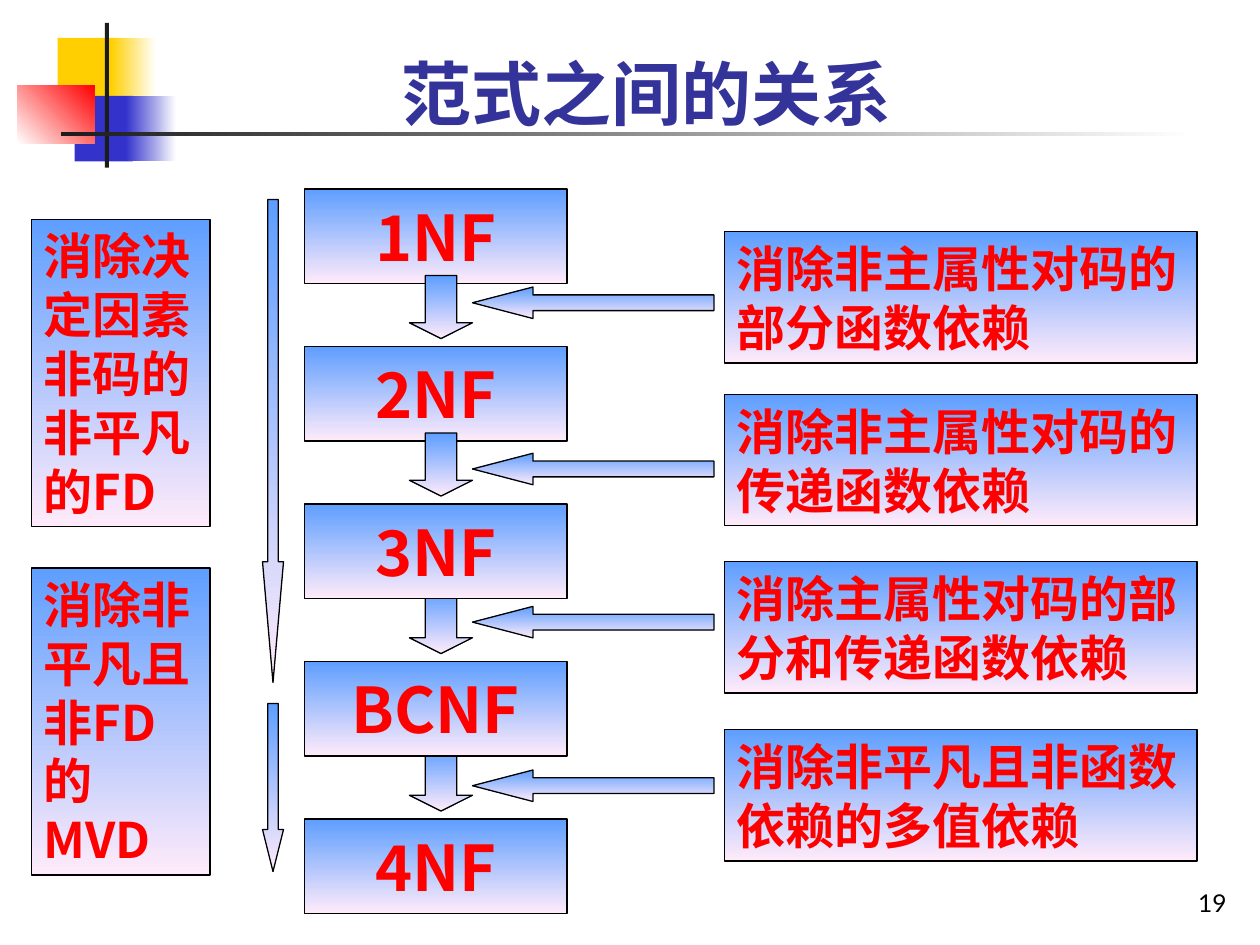
from lxml import etree
from pptx import Presentation
from pptx.dml.color import RGBColor
from pptx.enum.shapes import MSO_SHAPE as Shape
from pptx.enum.text import MSO_ANCHOR as Anchor, PP_ALIGN as Align
from pptx.oxml.ns import qn
from pptx.util import Pt

TITLE, PAGE = "范式之间的关系", "19"
LATIN, CJK = "Lato", "Noto Sans CJK SC"
RED = "FF0000"
PANEL = ("5E9EFF", "FFEBFA", 90)

forms = ["1NF", "2NF", "3NF", "BCNF", "4NF"]
# Step between two forms: text, top of its box, top of its arrow
steps = [
    ("消除非主属性对码的部分函数依赖", 132.5, 164),
    ("消除非主属性对码的传递函数依赖", 225.5, 259),
    ("消除主属性对码的部分和传递函数依赖", 321, 346.5),
    ("消除非平凡且非函数依赖的多值依赖", 417, 440),
]
# Wider step: text, top of its box, top and height of its arrow, head length
spans = [
    ("消除决定因素非码的非平凡的FD", 125.3, 114, 276, 5.75),
    ("消除非平凡且非FD的MVD", 324.5, 402, 96, 2),
]
# Corner ornament: left, top, width, height, fill (one colour, or from, to, angle)
ornament = [
    (33, 21.6, 34.8, 37.4, "FFCF01"),
    (63.4, 21.6, 25.6, 37.4, ("FFCF01", "FFFFFF", 0)),
    (42.6, 54.8, 33.2, 37.4, "3333CC"),
    (72, 54.8, 28.8, 37.4, ("3333CC", "FFFFFF", 0)),
    (9.8, 48.7, 44.3, 33.4, ("FFFFFF", RED, 315)),
    (59.9, 13, 2.4, 82.8, "1C1C1C"),
    (34.8, 75.5, 648, 2.3, ("1C1C1C", "FFFFFF", 0)),
]

FORM_TOP, FORM_HEIGHT, FORM_PITCH = 108, 54, 90


def color(value):
    return RGBColor.from_string(value)


def paint(fill, value):
    if isinstance(value, str):
        fill.solid()
        fill.fore_color.rgb = color(value)
        return
    start, end, angle = value
    fill.gradient()
    fill.gradient_angle = (360 - angle) % 360
    for stop, stop_color in zip(fill.gradient_stops, (start, end)):
        stop.color.rgb = color(stop_color)


def add_block(kind, left, top, width, height, fill, outlined=True):
    block = slide.shapes.add_shape(kind, Pt(left), Pt(top), Pt(width), Pt(height))
    block.shadow.inherit = False
    paint(block.fill, fill)
    if outlined:
        block.line.color.rgb = color("000000")
        block.line.width = Pt(0.75)
    else:
        block.line.fill.background()
    return block


def add_arrow(kind, left, top, width, height, head):
    arrow = add_block(kind, left, top, width, height, PANEL)
    arrow.adjustments[0] = 0.5
    arrow.adjustments[1] = head


def write(block, text, size, ink, align, font, bold=True, anchor=Anchor.MIDDLE, wrap=True):
    frame = block.text_frame
    frame.text = text
    frame.word_wrap = wrap
    frame.vertical_anchor = anchor
    paragraph = frame.paragraphs[0]
    paragraph.alignment = align
    run = paragraph.runs[0]
    run.font.size = Pt(size)
    run.font.bold = bold
    run.font.name = font
    run.font.color.rgb = color(ink)
    # East Asian typeface
    etree.SubElement(run.font._element, qn("a:ea"), typeface=CJK)


def add_panel(text, left, top, width, height):
    panel = add_block(Shape.RECTANGLE, left, top, width, height, PANEL)
    write(panel, text, 28, RED, Align.LEFT, CJK)


def add_form(index):
    top = FORM_TOP + index * FORM_PITCH
    form = add_block(Shape.RECTANGLE, 174, top, 150, FORM_HEIGHT, PANEL)
    write(form, forms[index], 36, RED, Align.CENTER, CJK, wrap=False)


prs = Presentation()
prs.slide_width, prs.slide_height = Pt(720), Pt(540)
slide = prs.slides.add_slide(prs.slide_layouts[6])

# Corner ornament and title rule
for *place, fill in ornament:
    add_block(Shape.RECTANGLE, *place, fill, outlined=False)

# Page number and title
page = slide.shapes.add_textbox(Pt(558), Pt(492), Pt(150), Pt(36))
write(page, PAGE, 14, "000000", Align.RIGHT, LATIN, bold=False, anchor=Anchor.BOTTOM)
title = slide.shapes.add_textbox(Pt(41.5), Pt(12.2), Pt(656), Pt(68))
write(title, TITLE, 40, "333399", Align.CENTER, LATIN, anchor=Anchor.BOTTOM)

# Chain of forms: the first two arrows overlap their box, the others start behind it
add_form(0)
add_form(1)
for index in range(len(steps)):
    top = FORM_TOP + index * FORM_PITCH + FORM_HEIGHT - 4.5
    add_arrow(Shape.DOWN_ARROW, 234, top, 36, 36, 0.25)
for index in range(2, len(forms)):
    add_form(index)

# Steps on the right
for text, top, arrow_top in steps:
    add_panel(text, 414, top, 270, 75)
    add_arrow(Shape.LEFT_ARROW, 270, arrow_top, 138, 18, 1.92)

# Wider steps on the left
for text, top, arrow_top, arrow_height, head in spans:
    add_panel(text, 18, top, 102, 175.5)
    add_arrow(Shape.DOWN_ARROW, 150, arrow_top, 12, arrow_height, head)

prs.save("out.pptx")
